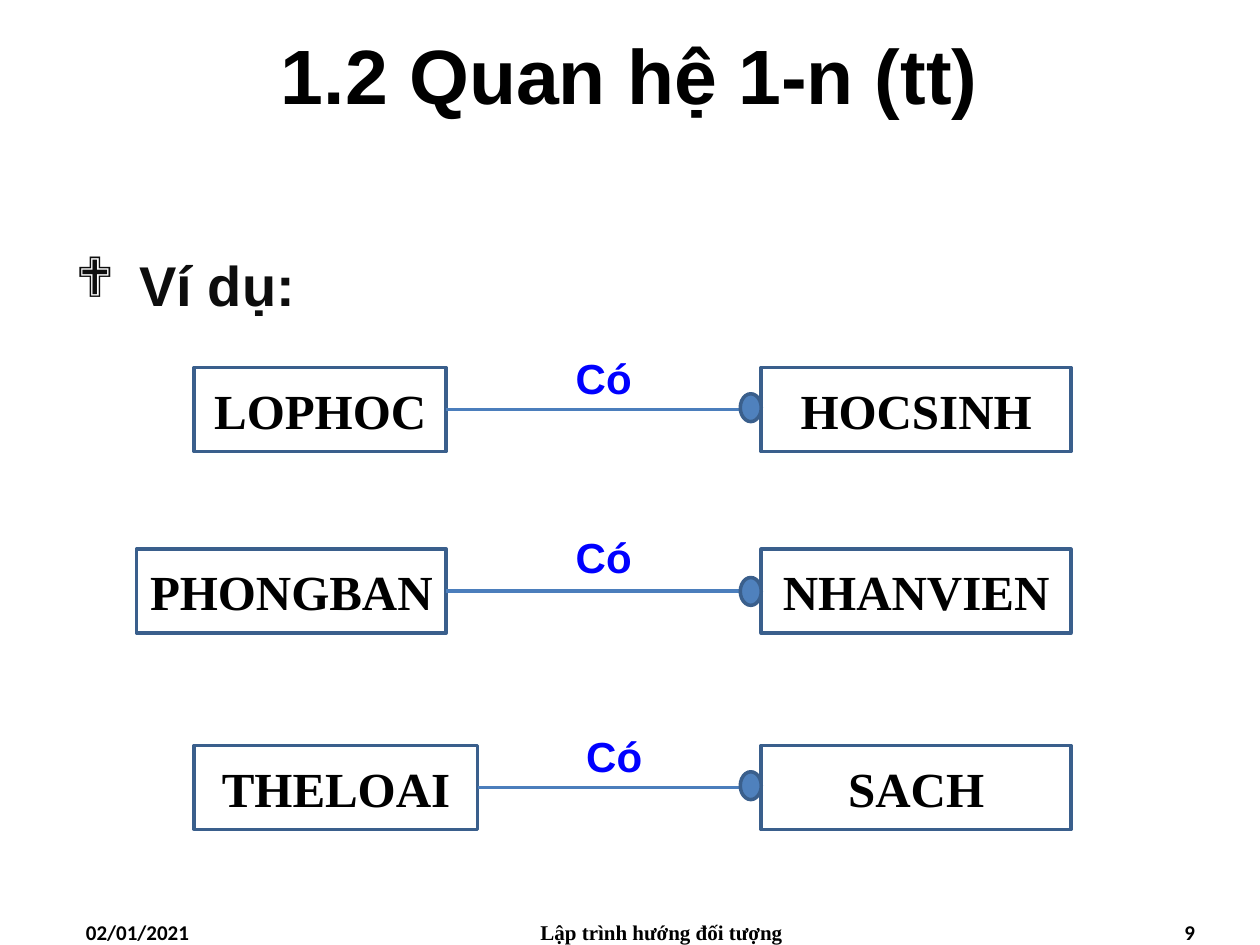
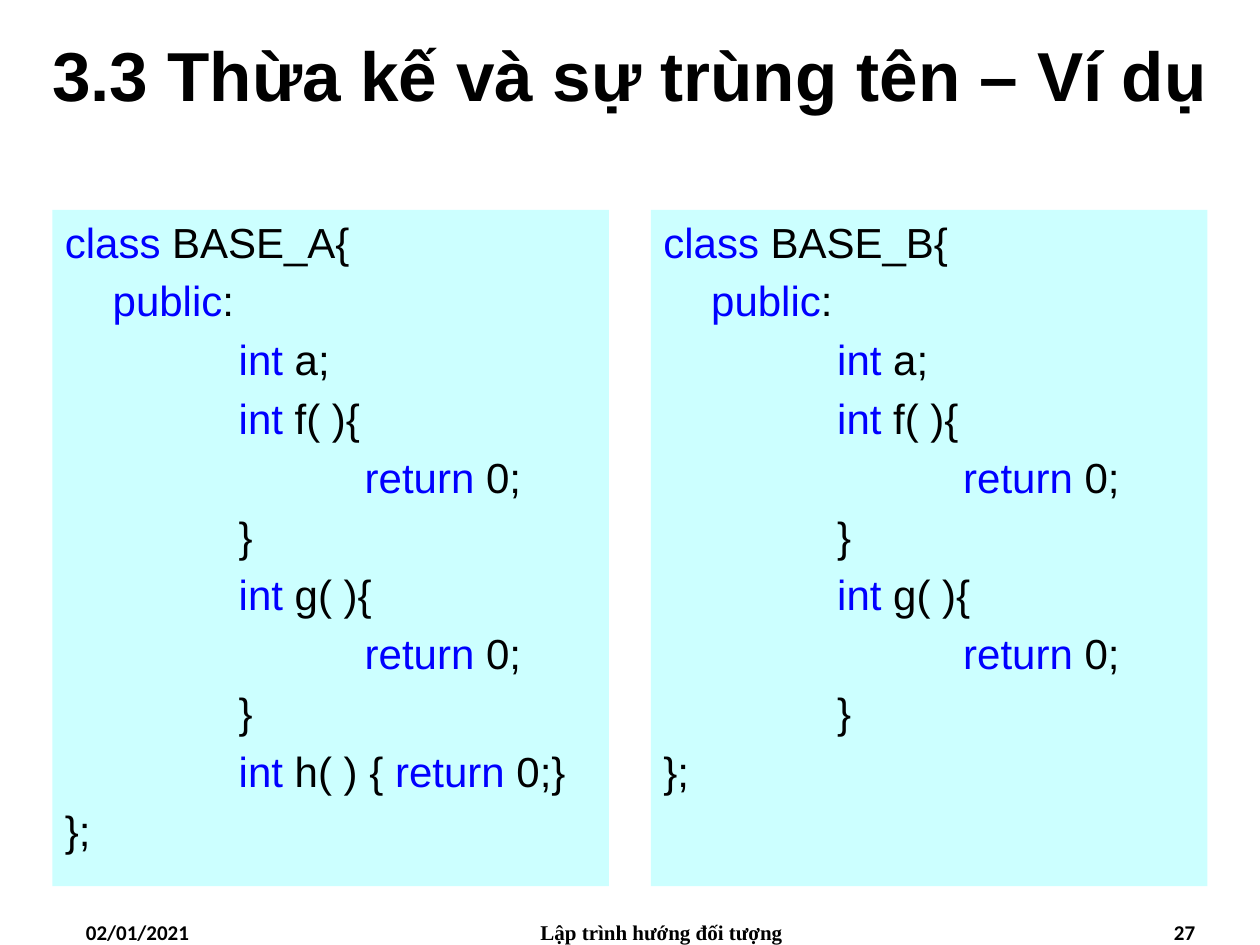
import math
from dataclasses import dataclass

from lxml import etree
from pptx import Presentation
from pptx import util as u
from pptx.dml.color import RGBColor
from pptx.enum import shapes, text
from pptx.oxml import ns

BOX, OVAL = shapes.MSO_SHAPE.RECTANGLE, shapes.MSO_SHAPE.OVAL
ALIGN = text.PP_ALIGN
COLS, ROWS = 240, 180


@dataclass(frozen=True)
class Theme:
    ink: str = "000000"
    body: str = "0D0D0D"
    key: str = "0000FF"
    panel: str = "CCFFFF"
    edge: str = "3A5F8C"
    link: str = "4B7EBC"
    dot: str = "4F81BD"
    sans: str = "Arial"
    serif: str = "Times New Roman"
    small: str = "Calibri"
    mark: str = "Wingdings"
    head: float = 44
    tight: float = 39.6
    lead: float = 32
    name: float = 28
    code: float = 24
    foot: float = 12
    stroke: float = 2


def write(frame, words, size, font, color, key=None, bold=False,
          align=ALIGN.LEFT, middle=False, hang=0, bullet=None, gap=0, lines=None):
    """Fill a frame, one paragraph a line; parts between backticks take the key colour."""
    frame.word_wrap = True
    frame.vertical_anchor = text.MSO_ANCHOR.MIDDLE if middle else text.MSO_ANCHOR.TOP
    for i, line in enumerate(words.split("\n")):
        para = frame.add_paragraph() if i else frame.paragraphs[0]
        para.alignment = align
        if i and gap:
            para.space_before = u.Pt(gap)
        if lines:
            para.line_spacing = lines
        if hang:
            props = para._p.get_or_add_pPr()
            props.set("marL", str(u.Inches(hang)))
            props.set("indent", str(-u.Inches(hang)))
            props.set("defTabSz", str(u.Inches(1)))
            if bullet:
                etree.SubElement(props, ns.qn("a:buFont")).set("typeface", Theme.mark)
                etree.SubElement(props, ns.qn("a:buChar")).set("char", bullet)
        for j, part in enumerate(line.split("`")):
            if part:
                run = para.add_run()
                run.text = part
                run.font.size, run.font.name, run.font.bold = u.Pt(size), font, bold
                run.font.color.rgb = RGBColor.from_string(key if j % 2 else color)


class Deck:
    def __init__(self, look):
        self.look = look
        self.show = Presentation()
        self.show.slide_width, self.show.slide_height = u.Inches(10), u.Inches(7.5)
        self.slide = self.pool = None

    def place(self, *cells):
        """Turn columns and rows (x, y, x, y) into lengths."""
        wide, high = self.show.slide_width / COLS, self.show.slide_height / ROWS
        return [round(c * (high if i % 2 else wide)) for i, c in enumerate(cells)]

    def start(self, title, number, size):
        look = self.look
        self.slide = self.show.slides.add_slide(self.show.slide_layouts[6])
        self.pool = self.slide.shapes
        self.label((0, 0, COLS, 28), title, size=size, font=look.sans,
                   color=look.ink, bold=True, align=ALIGN.CENTER, middle=True)
        for left, wide, words, font, align in (
            (14, 56, "02/01/2021", look.small, ALIGN.LEFT),
            (88, 76, "Lập trình hướng đối tượng", look.serif, ALIGN.CENTER),
            (174, 56, str(number), look.small, ALIGN.RIGHT),
        ):
            self.label((left, 174, wide, 6), words, size=look.foot, font=font,
                       color=look.ink, bold=True, align=align)

    def group(self):
        """Put the elements that follow into a new group."""
        self.pool = self.slide.shapes.add_group_shape().shapes

    def label(self, cells, words, **style):
        write(self.pool.add_textbox(*self.place(*cells)).text_frame, words, **style)

    def shape(self, kind, cells, fill=None, edge=None, words="", **style):
        item = self.pool.add_shape(kind, *self.place(*cells))
        item.shadow.inherit = False
        if fill:
            item.fill.solid()
            item.fill.fore_color.rgb = RGBColor.from_string(fill)
        else:
            item.fill.background()
        if edge:
            item.line.color.rgb = RGBColor.from_string(edge)
            item.line.width = u.Pt(self.look.stroke)
        else:
            item.line.fill.background()
        if words:
            write(item.text_frame, words, **style)

    def line(self, *cells):
        item = self.pool.add_connector(shapes.MSO_CONNECTOR.STRAIGHT, *self.place(*cells))
        item.line.color.rgb = RGBColor.from_string(self.look.link)
        item.line.width = u.Pt(self.look.stroke)
        etree.SubElement(item._element.spPr, ns.qn("a:effectLst"))

    def entity(self, left, top, wide, name):
        look = self.look
        self.shape(BOX, (left, top, wide, 16), edge=look.edge, words=name,
                   size=look.name, font=look.serif, color=look.ink, bold=True,
                   align=ALIGN.CENTER, middle=True)

    def relate(self, top, one, left, right, many, note):
        """Draw a one-to-many link; note is the left edge of its label.

        The label and the dot sit on whole rows.
        """
        look = self.look
        self.group()
        self.entity(left, top, right - left, one)
        self.entity(145, top, 59, many)
        self.line(right, top + 8, 145, top + 8)
        self.label((note, math.floor(top) - 4, 139 - note, 12), "Có", size=look.code,
                   font=look.sans, color=look.key, bold=True, align=ALIGN.CENTER)
        self.shape(OVAL, (141, math.ceil(top) + 5, 4, 5.3), fill=look.dot, edge=look.edge)

    def code(self, left, words):
        look = self.look
        self.shape(BOX, (left, 40, 106, 128.8), fill=look.panel, words=words,
                   size=look.code, font=look.sans, color=look.ink, key=look.key,
                   hang=0.38, gap=4.8)


def method(name):
    return f"\t\t`int` {name}( ){{\n\t\t\t`return` 0;\n\t\t}}"


def source(name, *extra):
    return "\n".join([f"`class` {name}{{", "\t`public`:", "\t\t`int` a;",
                      method("f"), method("g"), *extra, "};"])


def main():
    look = Theme()
    deck = Deck(look)

    deck.start("1.2 Quan hệ 1-n (tt)", 9, look.head)
    deck.label((12, 42.7, 220, 19.2), "Ví dụ:", size=look.lead, font=look.sans,
               color=look.body, bold=True, align=ALIGN.JUSTIFY, hang=0.51,
               bullet="❖", lines=1.3)
    for row in (
        (70, "LOPHOC", 37, 85, "HOCSINH", 91),
        (104.6, "PHONGBAN", 26, 85, "NHANVIEN", 91),
        (142, "THELOAI", 37, 91, "SACH", 95),
    ):
        deck.relate(*row)

    deck.start("3.3 Thừa kế và sự trùng tên – Ví dụ", 27, look.tight)
    deck.code(10, source("BASE_A", "\t\t`int` h( ) { `return` 0;}"))
    deck.code(124, source("BASE_B"))

    deck.show.save("out.pptx")


if __name__ == "__main__":
    main()
